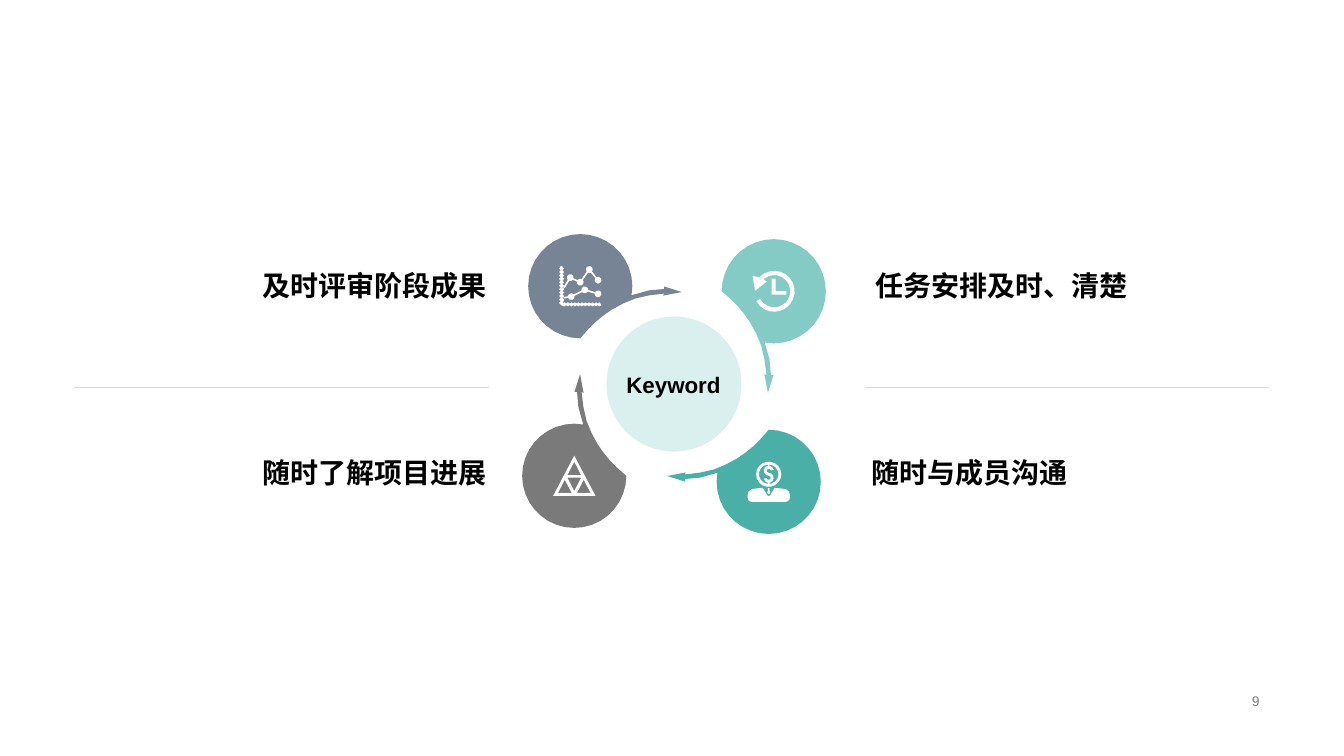
from dataclasses import dataclass
from math import acos, asin, atan2, cos, degrees, radians, sin
from typing import NamedTuple

from lxml.etree import SubElement
from pptx import Presentation
from pptx.dml.color import RGBColor
from pptx.enum.shapes import MSO_CONNECTOR, MSO_SHAPE
from pptx.enum.text import MSO_ANCHOR, PP_ALIGN as Align
from pptx.oxml.ns import qn
from pptx.util import Inches, Pt

COLORS = {
    "slate": "778495", "aqua": "84CBC5", "teal": "4AB0A7", "gray": "7A7A7A",
    "hub": "DAF0EE", "white": "FFFFFF", "black": "000000",
    "number": "808080", "rule": "D9D9D9",
}
COLUMNS, ROWS = 133.4, 75
CIRCLE_RADIUS = 5.17
PETAL_LENGTH = 15.25
ARC_TOLERANCE = 0.02

Point = tuple[float, float]
Outline = list[Point]


class Box(NamedTuple):
    column: float
    row: float
    columns: float
    rows: float


@dataclass(frozen=True)
class Petal:
    center: Point
    rotation: int
    color: str
    icon: list[Outline]


@dataclass(frozen=True)
class Label:
    text: str
    box: Box
    align: Align
    size: int = 20
    color: str = "black"
    bold: bool = True


def cell(value: float) -> int:
    """Length of a number of grid cells."""
    return round(Inches(0.1) * value)


def color(name: str) -> RGBColor:
    return RGBColor.from_string(COLORS[name])


def arc(x: float, y: float, radius: float, start: float, end: float) -> Outline:
    """Points on a circle between two angles, clockwise from the right."""
    step_angle = 2 * degrees(acos(1 - ARC_TOLERANCE / radius))
    steps = max(2, round(abs(end - start) / step_angle))
    angles = [radians(start + (end - start) * step / steps) for step in range(steps + 1)]
    return [(x + radius * cos(angle), y + radius * sin(angle)) for angle in angles]


def rectangle(left: float, top: float, right: float, bottom: float) -> Outline:
    return [(left, top), (right, top), (right, bottom), (left, bottom)]


def beaded_line(points: Outline, radius: float = 0.34, half_width: float = 0.08) -> Outline:
    """Outline of a line with a dot at every point but the first."""
    last = len(points) - 1
    visits = [*range(last + 1), *range(last - 1, 0, -1)]
    outline: Outline = []
    for index, visit in enumerate(visits):
        x, y = points[visit]
        bead = radius if visit else half_width
        gap = degrees(asin(half_width / bead))
        before, after = (points[visits[(index + step) % len(visits)]] for step in (-1, 1))
        start = degrees(atan2(before[1] - y, before[0] - x)) + gap
        end = degrees(atan2(after[1] - y, after[0] - x)) - gap
        outline += arc(x, y, bead, start, start + (end - start) % 360)
    return outline


def chart_icon() -> list[Outline]:
    ticks_y = [0.25 + 0.34 * tick for tick in range(11)]
    ticks_x = [0.52 + 0.35 * tick for tick in range(11)]
    axes: Outline = [(0.33, 0), (0.17, 0)]
    for y in ticks_y:
        axes += [(0, y), (0.17, y + 0.17)]
    axes.append((0.17, 3.88))
    for x in ticks_x:
        axes += [(x, 4), (x + 0.17, 3.88)]
    for x in reversed(ticks_x):
        axes += [(x, 3.6), (x - 0.17, 3.72)]
    for y in reversed(ticks_y[:-1]):
        axes += [(0.5, y), (0.33, y - 0.17)]
    upper = [(0.5, 2.12), (1.1, 1.15), (2.1, 1.6), (3, 0.34), (3.86, 1.4)]
    lower = [(0.5, 3.14), (1.2, 3.02), (2.55, 2.36), (3.86, 2.75)]
    return [axes, beaded_line(upper), beaded_line(lower)]


def clock_icon() -> list[Outline]:
    arrow = [(1.4, 1.05), (0.25, 1.95), (0, 0.47)]
    dial = arc(2.15, 2, 2.03, -137, 151) + arc(2.15, 2, 1.6, 151, -132) + arrow
    hands = [(1.9, 0.75), (2.3, 0.75), (2.3, 2), (3.35, 2), (3.35, 2.33), (1.9, 2.33)]
    return [dial, hands]


def coin_icon() -> list[Outline]:
    middle, radius, half_width = 2.1, 0.35, 0.14

    def letter_side(offset: float) -> Outline:
        return (arc(middle, 0.9, radius + offset, -10, -270)
                + arc(middle, 1.6, radius - offset, -90, 170))

    letter = letter_side(half_width) + letter_side(-half_width)[::-1]
    bars = [rectangle(middle - 0.08, top, middle + 0.08, bottom)
            for top, bottom in ((0.27, 0.41), (2.09, 2.23))]
    shoulders = [(1.5, 2.6), (1.95, 3.35), (2.1, 3.42), (2.25, 3.35), (2.7, 2.6), (3.4, 2.67)]
    body = (shoulders + arc(3.6, 3.3, 0.6, -70, 0) + arc(3.75, 3.55, 0.45, 0, 90)
            + arc(0.45, 3.55, 0.45, 90, 180) + arc(0.6, 3.3, 0.6, 180, 250) + [(0.8, 2.67)])
    tie = [(2.1, 2.6), (2.22, 2.7), (2.14, 2.8), (2.26, 3.05),
           (2.1, 3.25), (1.94, 3.05), (2.06, 2.8), (1.98, 2.7)]
    coin = [arc(middle, 1.25, ring, 0, 360) for ring in (1.25, 0.97)]
    return [*coin, letter, *bars, body, tie]


def pyramid_icon() -> list[Outline]:
    holes = [[(x, top), (x + 0.68, bottom), (x - 0.68, bottom)]
             for x, top, bottom in ((2.1, 0.6, 1.93), (2.1, 3.52, 2.2),
                                    (1.16, 2.4, 3.7), (3.04, 2.4, 3.7))]
    return [[(2.1, 0), (4.2, 4), (0, 4)], *holes]


PETAL_OUTLINE: Outline = arc(CIRCLE_RADIUS, CIRCLE_RADIUS, CIRCLE_RADIUS, 90, 370) + [
    (10.5, 6.0), (12, 5.58), (13.5, 5.45), (13.5, 5.2), (PETAL_LENGTH, 5.75),
    (13.4, 6.1), (13.5, 5.9), (12, 6.08), (10.6, 6.4), (9.4, 6.9), (8.3, 7.5),
    (7.5, 8.05), (6.7, 8.7), (6, 9.4), (5.5, 9.95),
]
PETALS = [
    Petal((57.6, 28.4), 0, "slate", chart_icon()),
    Petal((76.8, 28.9), 90, "aqua", clock_icon()),
    Petal((76.3, 47.8), 180, "teal", coin_icon()),
    Petal((57, 47.2), 270, "gray", pyramid_icon()),
]
LABELS = [
    Label("及时评审阶段成果", Box(7.3, 26.2, 42, 4.2), Align.RIGHT),
    Label("随时了解项目进展", Box(7.3, 44.8, 42, 4.2), Align.RIGHT),
    Label("任务安排及时、清楚", Box(85.9, 26.2, 40.9, 4.2), Align.LEFT),
    Label("随时与成员沟通", Box(85.5, 44.8, 40.9, 4.2), Align.LEFT),
    Label("Keyword", Box(58.6, 34.9, 16.5, 6.4), Align.CENTER, size=16),
    Label("9", Box(94.2, 68.4, 31.8, 2.3), Align.RIGHT, 10, "number", False),
]
RULES = [(7.3, 48.5), (85.9, 126)]


def paint(shape, fill: str) -> None:
    shape.shadow.inherit = False
    shape.fill.solid()
    shape.fill.fore_color.rgb = color(fill)
    shape.line.fill.background()


def draw_outlines(slide, outlines: list[Outline], left: float, top: float, fill: str):
    contours = [[(cell(left + x), cell(top + y)) for x, y in outline] for outline in outlines]
    builder = slide.shapes.build_freeform(*contours[0][0])
    for index, (start, *rest) in enumerate(contours):
        if index:
            builder.move_to(*start)
        builder.add_line_segments(rest, close=True)
    shape = builder.convert_to_shape()
    paint(shape, fill)
    return shape


def draw_petal(slide, petal: Petal) -> None:
    x, y = petal.center
    reach = PETAL_LENGTH / 2 - CIRCLE_RADIUS
    left = x + reach * cos(radians(petal.rotation)) - PETAL_LENGTH / 2
    top = y + reach * sin(radians(petal.rotation)) - CIRCLE_RADIUS
    draw_outlines(slide, [PETAL_OUTLINE], left, top, petal.color).rotation = petal.rotation
    draw_outlines(slide, petal.icon, x - 2.1, y - 2, "white")


def draw_label(slide, label: Label) -> None:
    text_frame = slide.shapes.add_textbox(*map(cell, label.box)).text_frame
    text_frame.word_wrap = True
    text_frame.vertical_anchor = MSO_ANCHOR.MIDDLE
    text_frame.text = label.text
    paragraph = text_frame.paragraphs[0]
    paragraph.alignment = label.align
    font = paragraph.runs[0].font
    font.name, font.size, font.bold = "Arial", Pt(label.size), label.bold
    font.color.rgb = color(label.color)


def draw_rule(slide, start: float, end: float) -> None:
    row = cell(38.4)
    line = slide.shapes.add_connector(MSO_CONNECTOR.STRAIGHT, cell(start), row, cell(end), row)
    line.line.color.rgb = color("rule")
    line.line.width = Pt(0.25)
    SubElement(line._element.spPr, qn("a:effectLst"))


def main() -> None:
    presentation = Presentation()
    presentation.slide_width, presentation.slide_height = cell(COLUMNS), cell(ROWS)
    slide = presentation.slides.add_slide(presentation.slide_layouts[6])
    hub = Box(60.2, 31.4, 13.4, 13.4)
    paint(slide.shapes.add_shape(MSO_SHAPE.OVAL, *map(cell, hub)), "hub")
    for petal in PETALS:
        draw_petal(slide, petal)
    for label in LABELS:
        draw_label(slide, label)
    for start, end in RULES:
        draw_rule(slide, start, end)
    presentation.save("out.pptx")


if __name__ == "__main__":
    main()
